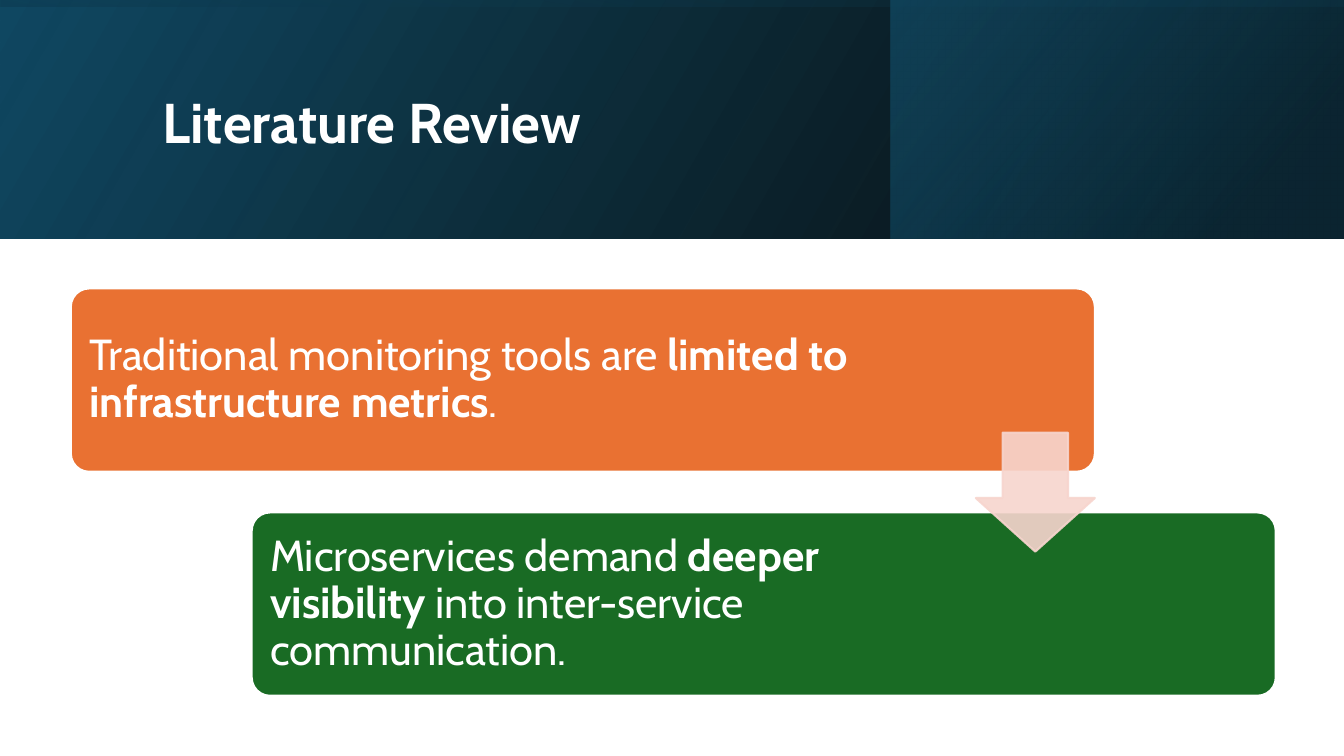
from dataclasses import dataclass

from lxml import etree
from pptx import Presentation
from pptx.dml.color import RGBColor
from pptx.enum.shapes import MSO_SHAPE
from pptx.enum.text import MSO_ANCHOR
from pptx.oxml.ns import qn
from pptx.util import Pt

RECTANGLE = MSO_SHAPE.RECTANGLE
ROUNDED = MSO_SHAPE.ROUNDED_RECTANGLE
DOWN_ARROW = MSO_SHAPE.DOWN_ARROW
MIDDLE = MSO_ANCHOR.MIDDLE


@dataclass(frozen=True)
class Theme:
    font: str = "Cabin"
    title_size: float = 40
    body_size: float = 31
    white: str = "FFFFFF"
    black: str = "000000"
    navy: str = "104862"
    deep_blue: str = "0B3041"
    teal: str = "156082"
    orange: str = "E97132"
    green: str = "196B24"
    blush: str = "F7D5CE"


class SlideBuilder:
    """Draws styled elements on one slide, with lengths in points."""

    def __init__(self, slide, theme):
        self.slide = slide
        self.theme = theme

    def add_opacity(self, color_element, opacity):
        etree.SubElement(color_element, qn("a:alpha"), val=str(opacity * 1000))

    def shape(self, kind, box, adjustments=()):
        shape = self.slide.shapes.add_shape(kind, *map(Pt, box))
        shape.shadow.inherit = False
        for index, value in enumerate(adjustments):
            shape.adjustments[index] = value
        return shape

    def solid(self, kind, box, adjustments, fill, line, opacity=100):
        shape = self.shape(kind, box, adjustments)
        shape.fill.solid()
        shape.fill.fore_color.rgb = RGBColor.from_string(fill)
        shape.line.color.rgb = RGBColor.from_string(line)
        shape.line.width = Pt(1.5)
        if opacity < 100:
            for color in list(shape.element.spPr.iter(qn("a:srgbClr"))):
                self.add_opacity(color, opacity)

    def gradient(self, box, stops, angle, rotation=0):
        shape = self.shape(RECTANGLE, box)
        shape.rotation = rotation
        shape.line.fill.background()
        properties = shape.element.spPr
        properties.find(qn("a:xfrm")).set("flipH", "1")
        gradient = etree.Element(qn("a:gradFill"), rotWithShape="1")
        stop_list = etree.SubElement(gradient, qn("a:gsLst"))
        for position, color, opacity in stops:
            stop = etree.SubElement(stop_list, qn("a:gs"), pos=str(position * 1000))
            self.add_opacity(etree.SubElement(stop, qn("a:srgbClr"), val=color), opacity)
        etree.SubElement(gradient, qn("a:lin"), ang=str(angle * 60000), scaled="0")
        properties.find(qn("a:prstGeom")).addnext(gradient)

    def text(self, box, pieces, size, inset=None):
        frame = self.slide.shapes.add_textbox(*map(Pt, box)).text_frame
        frame.word_wrap = True
        frame.vertical_anchor = MIDDLE
        if inset is not None:
            frame.margin_left = frame.margin_right = Pt(inset)
            frame.margin_top = frame.margin_bottom = Pt(inset)
        paragraph = frame.paragraphs[0]
        paragraph.line_spacing = 0.9
        for content, bold in pieces:
            run = paragraph.add_run()
            run.text = content
            run.font.name = self.theme.font
            run.font.size = Pt(size)
            run.font.bold = bold
            run.font.color.rgb = RGBColor.from_string(self.theme.white)

    def card(self, left, top, fill, text_width, pieces):
        width, height, padding = 731.5, 131, 3.84
        self.solid(ROUNDED, (left, top, width, height), [0.1], fill, self.theme.white)
        text_box = (left + padding, top + padding, text_width, height - 2 * padding)
        self.text(text_box, pieces, self.theme.body_size, inset=9.3)


def main():
    theme = Theme()
    width, height, band = 960, 540, 170.6
    presentation = Presentation()
    presentation.slide_width = Pt(width)
    presentation.slide_height = Pt(height)
    slide = presentation.slides.add_slide(presentation.slide_layouts[6])
    builder = SlideBuilder(slide, theme)

    panel_left = 636
    offset = (width - band) / 2
    builder.gradient((0, 0, width, band),
                     [(0, theme.black, 96), (100, theme.navy, 100)], 330)
    builder.gradient((panel_left, 0, width - panel_left, band),
                     [(19, theme.deep_blue, 68), (100, theme.teal, 48)], 320)
    builder.gradient((offset, -offset, band, width),
                     [(23, theme.navy, 16), (99, theme.black, 45)], 350, rotation=270)
    builder.text((109, 27.4, 765, 123.8), [("Literature Review", True)], theme.title_size)

    cards = [
        (theme.orange, 596.2, [("Traditional monitoring tools are ", False),
                               ("limited to infrastructure metrics", True),
                               (".", False)]),
        (theme.green, 509.8, [("Microservices demand ", False),
                              ("deeper visibility", True),
                              (" into inter-service communication.", False)]),
    ]
    for index, (fill, text_width, pieces) in enumerate(cards):
        builder.card(50.6 + 129.2 * index, 206 + 160 * index, fill, text_width, pieces)
    builder.solid(DOWN_ARROW, (697, 309, 85, 85), [0.55, 0.45],
                  theme.blush, theme.blush, opacity=90)

    presentation.save("out.pptx")


if __name__ == "__main__":
    main()
